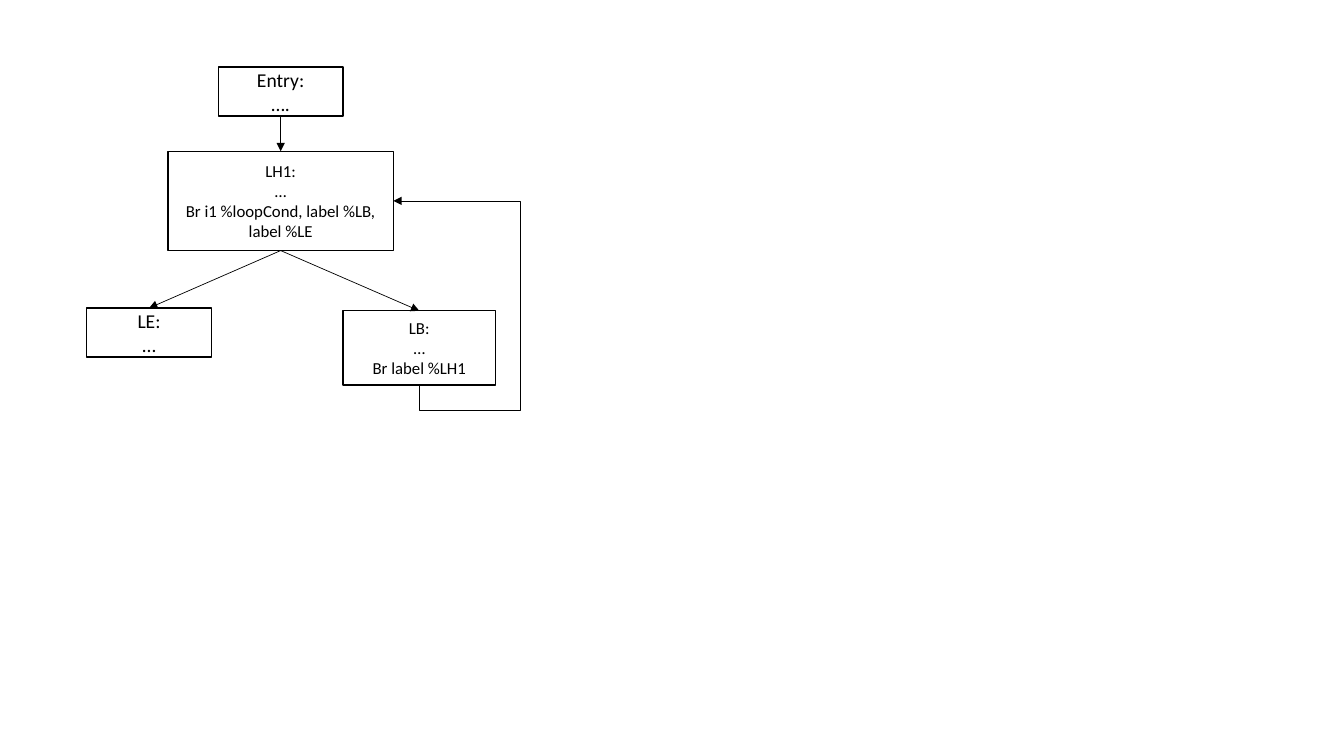
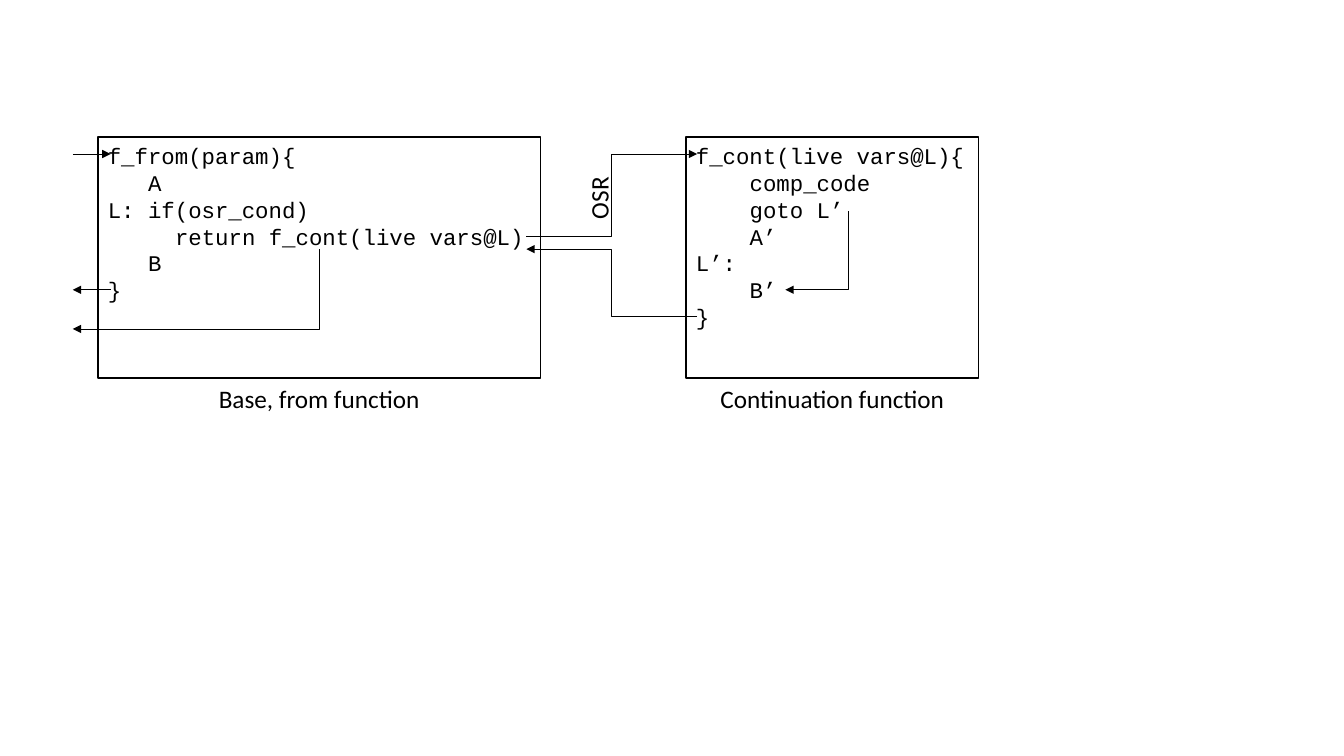
"""Build two slides: a loop control-flow graph and an OSR transition diagram."""
from dataclasses import dataclass

from lxml import etree
from pptx import Presentation
from pptx.dml.color import RGBColor
from pptx.enum import shapes, text
from pptx.oxml.ns import qn
from pptx.util import Pt


@dataclass(frozen=True)
class Theme:
    """Colours, fonts and sizes shared by both slides."""
    ink: RGBColor = RGBColor(0, 0, 0)
    paper: RGBColor = RGBColor(255, 255, 255)
    body: str = "Calibri"
    code: str = "Courier New"
    small: float = 12
    label: float = 14
    mono: float = 16
    caption: float = 18
    border: float = 1
    arrow: float = 0.5
    char: float = 9.6


T = Theme()
TOP, LEFT, BOTTOM, RIGHT = range(4)


def apply(obj, **formats):
    """Set every given attribute on an object."""
    for name, value in formats.items():
        setattr(obj, name, value)


def write(sp, lines, size, font=T.body, align=text.PP_ALIGN.CENTER,
          anchor=text.MSO_ANCHOR.MIDDLE):
    """Write (indent, text) lines into a shape, one paragraph each."""
    tf = sp.text_frame
    apply(tf, word_wrap=True, vertical_anchor=anchor)
    for i, (indent, line) in enumerate(lines):
        p = tf.add_paragraph() if i else tf.paragraphs[0]
        p.alignment = align
        if indent:
            p._p.get_or_add_pPr().set("marL", str(Pt(indent * T.char)))
        r = p.add_run()
        r.text = line
        apply(r.font, name=font, size=Pt(size))
        r.font.color.rgb = T.ink


def frame(s, x, y, w, h):
    """Add a white rectangle with a thin black border."""
    sp = s.shapes.add_shape(shapes.MSO_SHAPE.RECTANGLE, *map(Pt, (x, y, w, h)))
    sp.shadow.inherit = False
    sp.fill.solid()
    sp.fill.fore_color.rgb = T.paper
    sp.line.color.rgb = T.ink
    sp.line.width = Pt(T.border)
    return sp


def node(s, box, lines, size):
    """Add a basic block with centred text."""
    sp = frame(s, *box)
    write(sp, [(0, line) for line in lines], size)
    return sp


def caption(s, x, y, w, h, line, rotation=0):
    """Add a centred one-line label."""
    sp = s.shapes.add_textbox(*map(Pt, (x, y, w, h)))
    sp.rotation = rotation
    write(sp, [(0, line)], T.caption)


def arrow(s, start=(0, 0), end=(0, 0), kind=shapes.MSO_CONNECTOR.STRAIGHT, joins=None):
    """Add an arrow between two points, or between joined shape sides."""
    c = s.shapes.add_connector(kind, *map(Pt, (*start, *end)))
    if joins:
        c.begin_connect(*joins[0])
        c.end_connect(*joins[1])
    c.line.color.rgb = T.ink
    c.line.width = Pt(T.arrow)
    spPr = c._element.spPr
    etree.SubElement(spPr.find(qn("a:ln")), qn("a:tailEnd"), type="triangle")
    etree.SubElement(spPr, qn("a:effectLst"))
    return c


def elbow(s, start=(0, 0), end=(0, 0), bends=(), vertical=False, joins=None):
    """Add a bent arrow; bends are distances from its start along each axis."""
    c = arrow(s, start, end, shapes.MSO_CONNECTOR.ELBOW, joins)
    spPr = c._element.spPr
    dims = c.width, c.height
    if vertical:
        dims = c.height, c.width
        right, down = c.end_x > c.begin_x, c.end_y > c.begin_y
        left = c.left + (c.width - c.height) // 2
        top = c.top + (c.height - c.width) // 2
        apply(c, left=left, top=top, width=dims[0], height=dims[1])
        apply(spPr.xfrm, flipH=not down, flipV=right)
        spPr.xfrm.set("rot", "5400000")
    geom = spPr.find(qn("a:prstGeom"))
    geom.set("prst", f"bentConnector{max(len(bends), 1) + 2}")
    guides = geom.find(qn("a:avLst"))
    if guides is None:
        guides = etree.SubElement(geom, qn("a:avLst"))
    for i, (bend, dim) in enumerate(zip(bends, dims), 1):
        value = round(Pt(bend) / dim * 100000)
        etree.SubElement(guides, qn("a:gd"), name=f"adj{i}", fmla=f"val {value}")


def loop_graph(s, x, y):
    """Draw the loop control-flow graph from its top-left corner."""
    entry = node(s, (x + 94, y, 89, 35), ["Entry:", "…."], T.label)
    head = node(s, (x + 58, y + 60, 161, 71),
                ["LH1:", "…", "Br i1 %loopCond, label %LB, label %LE"], T.small)
    leave = node(s, (x, y + 172, 89, 35), ["LE:", "…"], T.label)
    body = node(s, (x + 183, y + 174, 109, 53), ["LB:", "…", "Br label %LH1"], T.small)
    for a, b in ((entry, head), (head, leave), (head, body)):
        arrow(s, joins=((a, BOTTOM), (b, TOP)))
    elbow(s, bends=(-18, -72), vertical=True, joins=((body, BOTTOM), (head, RIGHT)))


def code_panel(s, box, lines, title):
    """Draw a framed code listing with its caption below."""
    x, y, w, h = box
    write(frame(s, *box), lines, T.mono, T.code,
          text.PP_ALIGN.LEFT, text.MSO_ANCHOR.TOP)
    caption(s, x, y + h, w, 29, title)


def osr_diagram(s, x, y):
    """Draw the two functions and the jumps between them."""
    code_panel(s, (x, y, 316, 172),
               [(0, "f_from(param){"), (3, "A"), (0, "L: if(osr_cond)"),
                (5, "return f_cont(live vars@L)"), (3, "B"), (0, "}")],
               "Base, from function")
    code_panel(s, (x + 420, y, 209, 172),
               [(0, "f_cont(live vars@L){"), (4, "comp_code"), (4, "goto L’"),
                (4, "A’"), (0, "L’:"), (4, "B’"), (0, "}")],
               "Continuation function")
    outside, inside, call, cont = x - 18, x + 9, x + 306, x + 428
    first = y + 12
    elbow(s, (x + 158, y + 80), (outside, y + 137), bends=(0,))
    arrow(s, (outside, first), (inside, first))
    arrow(s, (inside, y + 109), (outside, y + 109))
    elbow(s, (call, y + 71), (cont, first))
    elbow(s, (cont, y + 128), (call, y + 80))
    elbow(s, (x + 536, y + 53), (x + 491, y + 109), bends=(56,), vertical=True)
    caption(s, x + 335, y + 29, 45, 29, "OSR", 270)


def main():
    """Build and save the presentation."""
    prs = Presentation()
    apply(prs, slide_width=Pt(960), slide_height=Pt(540))
    for draw, corner in ((loop_graph, (62, 48)), (osr_diagram, (70, 98))):
        draw(prs.slides.add_slide(prs.slide_layouts[6]), *corner)
    prs.save("out.pptx")


if __name__ == "__main__":
    main()
